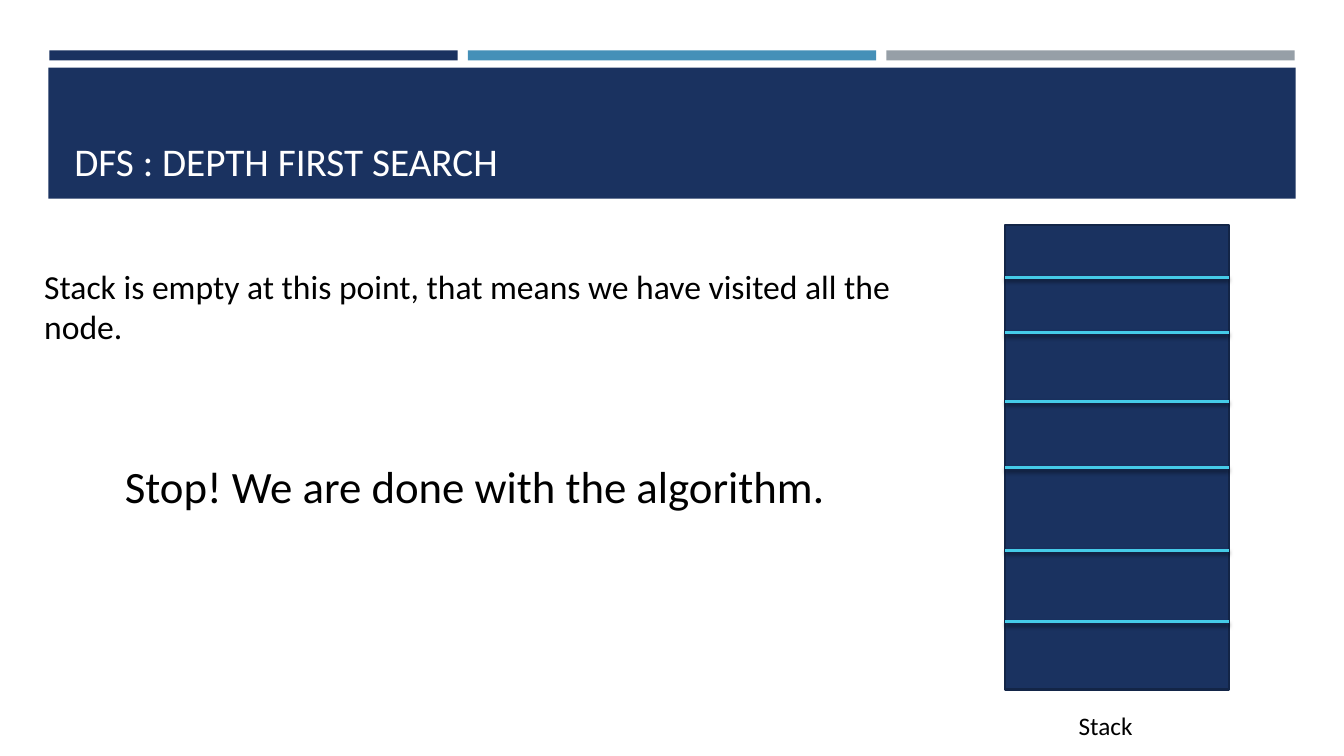
from lxml.etree import SubElement
from pptx import Presentation
from pptx.dml.color import RGBColor
from pptx.enum.shapes import MSO_CONNECTOR as Connector, MSO_SHAPE as Shape
from pptx.enum.text import MSO_ANCHOR as Anchor
from pptx.oxml.ns import qn
from pptx.util import Inches, Pt

COLORS = {
    "navy": "1A3260",
    "blue": "4590B8",
    "gray": "969FA7",
    "edge": "132547",
    "cyan": "45CBE8",
    "white": "FFFFFF",
    "black": "000000",
}
STACK_LEFT, STACK_TOP, STACK_WIDTH, STACK_HEIGHT = 9.97, 2.23, 2.22, 4.61
DIVIDER_LEVELS = (2.75, 3.3, 3.98, 4.64, 5.46, 6.17)


def color(name):
    """Return the named palette colour."""
    return RGBColor.from_string(COLORS[name])


def add_block(slide, left, top, width, height, fill, edge=None):
    """Draw a filled rectangle, outlined if an edge colour is given."""
    block = slide.shapes.add_shape(
        Shape.RECTANGLE, Inches(left), Inches(top), Inches(width), Inches(height)
    )
    block.shadow.inherit = False
    block.fill.solid()
    block.fill.fore_color.rgb = color(fill)
    if edge:
        block.line.color.rgb = color(edge)
        block.line.width = Pt(1.75)
    else:
        block.line.fill.background()


def add_label(slide, left, top, width, height, text, size, ink="black", anchor=Anchor.TOP):
    """Write one line of wrapped Calibri text."""
    label = slide.shapes.add_textbox(
        Inches(left), Inches(top), Inches(width), Inches(height)
    )
    frame = label.text_frame
    frame.word_wrap = True
    frame.vertical_anchor = anchor
    run = frame.paragraphs[0].add_run()
    run.text = text
    run.font.name = "Calibri"
    run.font.size = Pt(size)
    run.font.color.rgb = color(ink)


def add_divider(slide, level):
    """Draw a line across the stack with a soft shadow below it."""
    divider = slide.shapes.add_connector(
        Connector.STRAIGHT,
        Inches(STACK_LEFT), Inches(level),
        Inches(STACK_LEFT + STACK_WIDTH), Inches(level),
    )
    divider.line.color.rgb = color("cyan")
    divider.line.width = Pt(2)
    effects = SubElement(divider._element.spPr, qn("a:effectLst"))
    shadow = SubElement(
        effects, qn("a:outerShdw"),
        blurRad=str(Pt(3)), dist=str(Pt(2)), dir="5400000", rotWithShape="0",
    )
    tint = SubElement(shadow, qn("a:srgbClr"), val=COLORS["black"])
    SubElement(tint, qn("a:alpha"), val="55000")


def add_header(slide):
    """Draw the three accent bars and the title band."""
    for column, fill in enumerate(("navy", "blue", "gray")):
        add_block(slide, 0.49 + 4.15 * column, 0.5, 4.05, 0.1, fill)
    add_block(slide, 0.48, 0.67, 12.37, 1.3, "navy")
    add_label(slide, 0.64, 0.77, 12.06, 1.11, "DFS : DEPTH FIRST SEARCH", 28,
              "white", Anchor.BOTTOM)


def add_stack(slide):
    """Draw the empty stack with its dividers and caption."""
    add_block(slide, STACK_LEFT, STACK_TOP, STACK_WIDTH, STACK_HEIGHT, "navy", "edge")
    for level in DIVIDER_LEVELS:
        add_divider(slide, level)
    add_label(slide, 10.6, 7, 1.39, 0.4, "Stack", 18)


def main():
    """Build and save the slide."""
    deck = Presentation()
    deck.slide_width, deck.slide_height = Inches(13.33), Inches(7.5)
    slide = deck.slides.add_slide(deck.slide_layouts[6])
    add_header(slide)
    add_stack(slide)
    add_label(slide, 0.34, 2.59, 9.3, 0.91,
              "Stack is empty at this point, that means we have visited all the node.", 24)
    add_label(slide, 1.14, 4.5, 7.17, 0.64, "Stop! We are done with the algorithm.", 32)
    deck.save("out.pptx")


if __name__ == "__main__":
    main()
